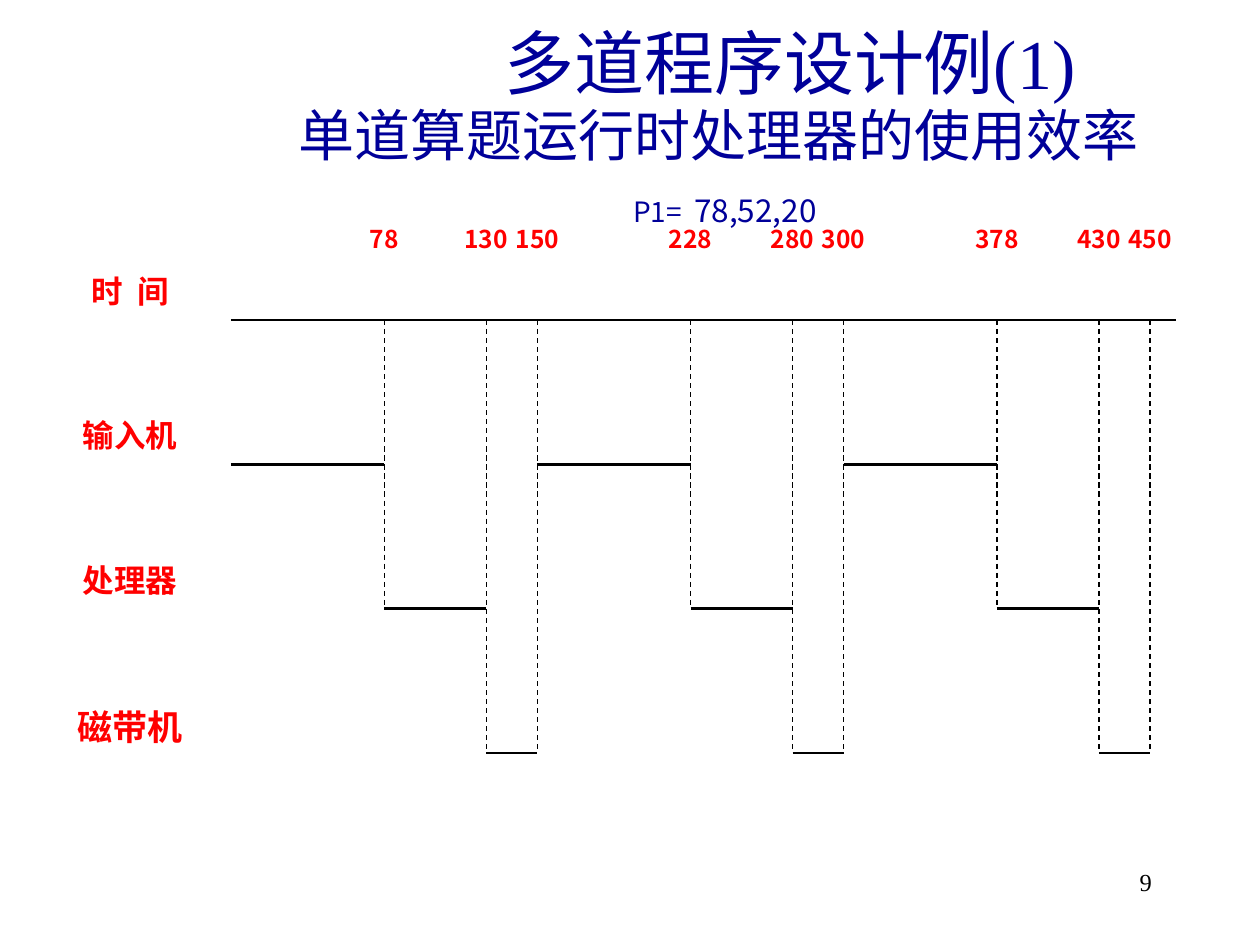
from dataclasses import dataclass
from typing import Optional

from lxml.etree import SubElement as Sub
from pptx import Presentation
from pptx.dml.color import RGBColor as Rgb
from pptx.enum.dml import MSO_LINE as Dash
from pptx.enum.shapes import MSO_CONNECTOR as Conn
from pptx.enum.text import MSO_ANCHOR as Anchor, MSO_AUTO_SIZE as Fit, PP_ALIGN as Align
from pptx.oxml.ns import qn
from pptx.util import Emu, Pt

SCALE = 914400 / 126


def px(n: float) -> Emu:
    return Emu(round(n * SCALE))


@dataclass(frozen=True)
class Theme:
    navy: Rgb = Rgb(0, 0, 0x99)
    red: Rgb = Rgb(0xFF, 0, 0)
    black: Rgb = Rgb(0, 0, 0)
    serif: str = "Times New Roman"
    sans: str = "Noto Sans CJK SC"
    sans_jp: str = "Noto Sans CJK JP"
    head: int = 40
    sub: int = 32
    label: int = 18
    small: int = 16
    mark: int = 14
    tape: int = 20
    thick: float = 1.5
    thin: float = 0.75


@dataclass(frozen=True)
class Box:
    x: float
    y: float
    w: float
    h: float


@dataclass(frozen=True)
class Row:
    name: str
    size: int


@dataclass(frozen=True)
class Step:
    row: int
    start: int
    end: int


THEME = Theme()

# Chart grid: columns count from the left end of the axis
LEFT, COL = 231, 51.06
TOP, PITCH = 320, 144.4
AXIS_END = 18.5
CYCLE, RUNS = 6, 3
PERIOD = 150
MARKS = ((78, 3, 2), (130, 5, 3), (150, 6, 3))  # time, column, lowest row
STEPS = (Step(1, 0, 3), Step(2, 3, 5), Step(3, 5, 6))
ROWS = (Row("时  间", THEME.label), Row("输入机", THEME.label),
        Row("处理器", THEME.label), Row("磁带机", THEME.tape))


def col_x(col: float) -> float:
    return LEFT + COL * col


def row_y(row: int) -> float:
    return TOP + PITCH * row


def place(shape, box: Box) -> None:
    spots = {"left": box.x, "top": box.y, "width": box.w, "height": box.h}
    for key, val in spots.items():
        setattr(shape, key, px(val))


def add_run(par, text: str, size: int, face: str, color: Rgb, bold: bool = False) -> None:
    run = par.add_run()
    run.text = text
    for key, val in {"size": Pt(size), "name": face, "bold": bold}.items():
        setattr(run.font, key, val)
    run.font.color.rgb = color
    east = THEME.sans if face == THEME.serif else face
    Sub(run.font._element, qn("a:ea"), typeface=east)


def add_text(slide, box: Box, text: str, size: int, face: str, color: Rgb,
             bold: bool = True, align: Align = Align.CENTER, pad: tuple = (0, 0)) -> None:
    frame = slide.shapes.add_textbox(*map(px, (box.x, box.y, box.w, box.h))).text_frame
    look = {"word_wrap": True, "margin_left": px(pad[0]), "margin_right": px(pad[0]),
            "margin_top": px(pad[1]), "margin_bottom": px(pad[1])}
    for key, val in look.items():
        setattr(frame, key, val)
    par = frame.paragraphs[0]
    par.alignment = align
    add_run(par, text, size, face, color, bold)


def add_line(slide, x1: float, y1: float, x2: float, y2: float,
             width: float, dash: Optional[Dash] = None) -> None:
    line = slide.shapes.add_connector(Conn.STRAIGHT, *map(px, (x1, y1, x2, y2)))
    line.line.color.rgb = THEME.black
    line.line.width = Pt(width)
    if dash:
        line.line.dash_style = dash
    Sub(line._element.spPr, qn("a:effectLst"))


def add_title(slide) -> None:
    title = slide.shapes.title
    place(title, Box(173, 65, 1092, 179))
    frame = title.text_frame
    look = {"word_wrap": True, "auto_size": Fit.NONE, "vertical_anchor": Anchor.BOTTOM,
            "margin_left": px(13), "margin_right": px(13),
            "margin_top": px(6), "margin_bottom": px(15)}
    for key, val in look.items():
        setattr(frame, key, val)
    # Each line: left indent, line height, runs
    lines = (
        (142, 44, (("多道程序设计例(1)", THEME.head, THEME.serif),)),
        (0, 36.5, (("单道算题运行时处理器的使用效率", THEME.sub, THEME.serif),)),
        (12, 35, (("P1=  ", THEME.small, THEME.sans_jp),
                  ("78,52,20", THEME.label, THEME.sans_jp))),
    )
    for num, (indent, height, runs) in enumerate(lines):
        par = frame.add_paragraph() if num else frame.paragraphs[0]
        form = {"alignment": Align.CENTER, "line_spacing": Pt(height),
                "space_before": Pt(0), "space_after": Pt(0)}
        for key, val in form.items():
            setattr(par, key, val)
        par._p.get_or_add_pPr().set("marL", str(px(indent)))
        for text, size, face in runs:
            add_run(par, text, size, face, THEME.navy)


def add_cycle(slide, num: int) -> None:
    shift = num * CYCLE
    for step in STEPS:
        y = row_y(step.row)
        add_line(slide, col_x(step.start + shift), y, col_x(step.end + shift), y, THEME.thick)
    for time, col, low in MARKS:
        x = col_x(col + shift)
        add_line(slide, x, TOP, x, row_y(low), THEME.thin, Dash.DASH)
        add_text(slide, Box(x - 26, 224, 52, 96), str(time + num * PERIOD),
                 THEME.mark, THEME.sans, THEME.red)


def main() -> None:
    deck = Presentation()
    deck.slide_width, deck.slide_height = px(1260), px(945)
    slide = deck.slides.add_slide(deck.slide_layouts[5])
    add_title(slide)

    # Time axis and the work of each device
    add_line(slide, LEFT, TOP, col_x(AXIS_END), TOP, THEME.thick)
    for num in range(RUNS):
        add_cycle(slide, num)

    # Row names
    for num, row in enumerate(ROWS):
        add_text(slide, Box(53, row_y(num) - 48, 154, 96), row.name,
                 row.size, THEME.sans, THEME.red)

    # Page number
    add_text(slide, Box(903, 861, 262, 63), "9", THEME.mark, THEME.serif,
             THEME.black, bold=False, align=Align.RIGHT, pad=(13, 6))
    deck.save("out.pptx")


if __name__ == "__main__":
    main()
